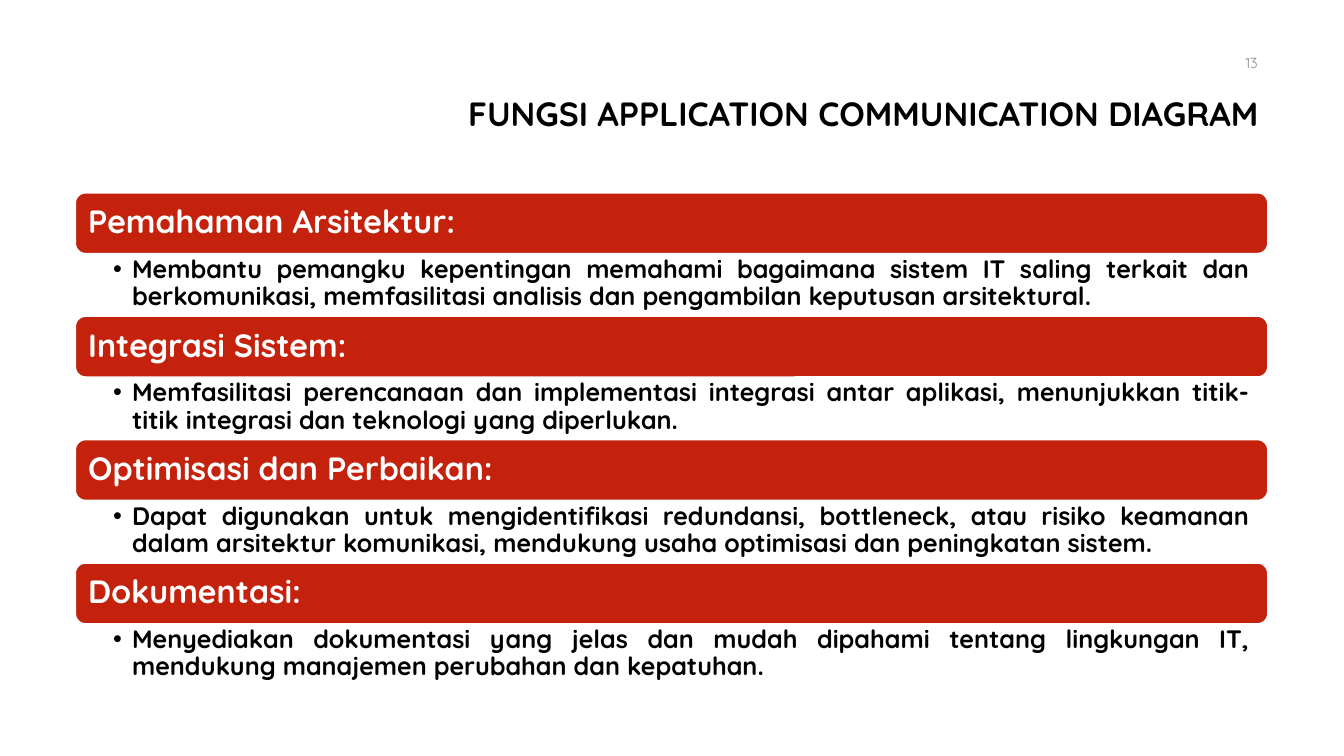
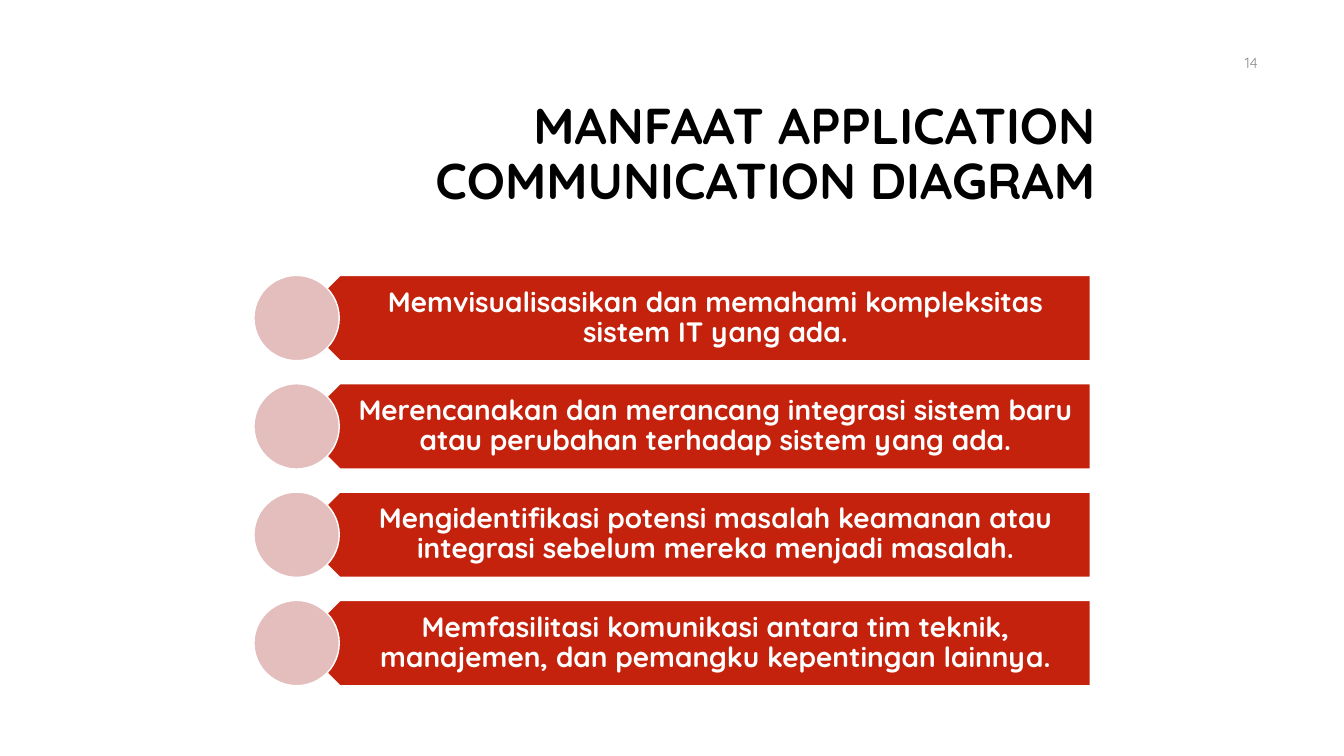
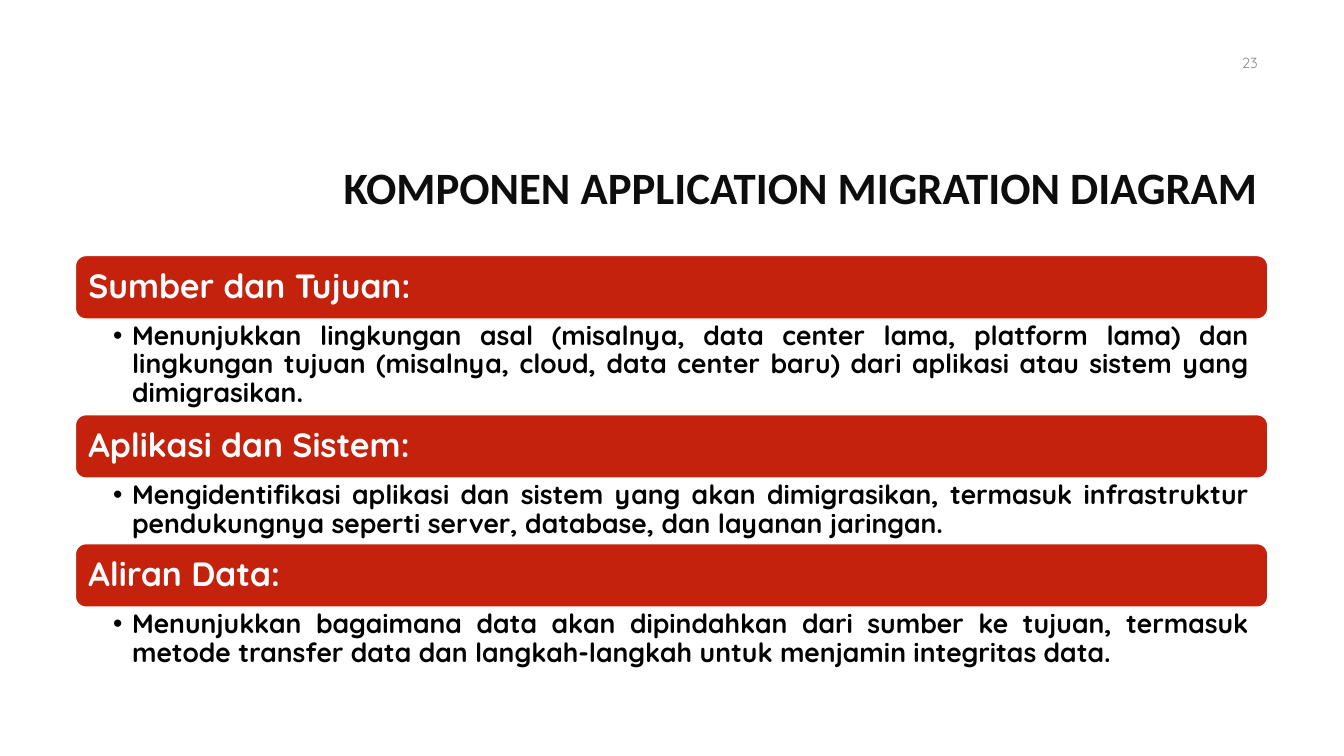
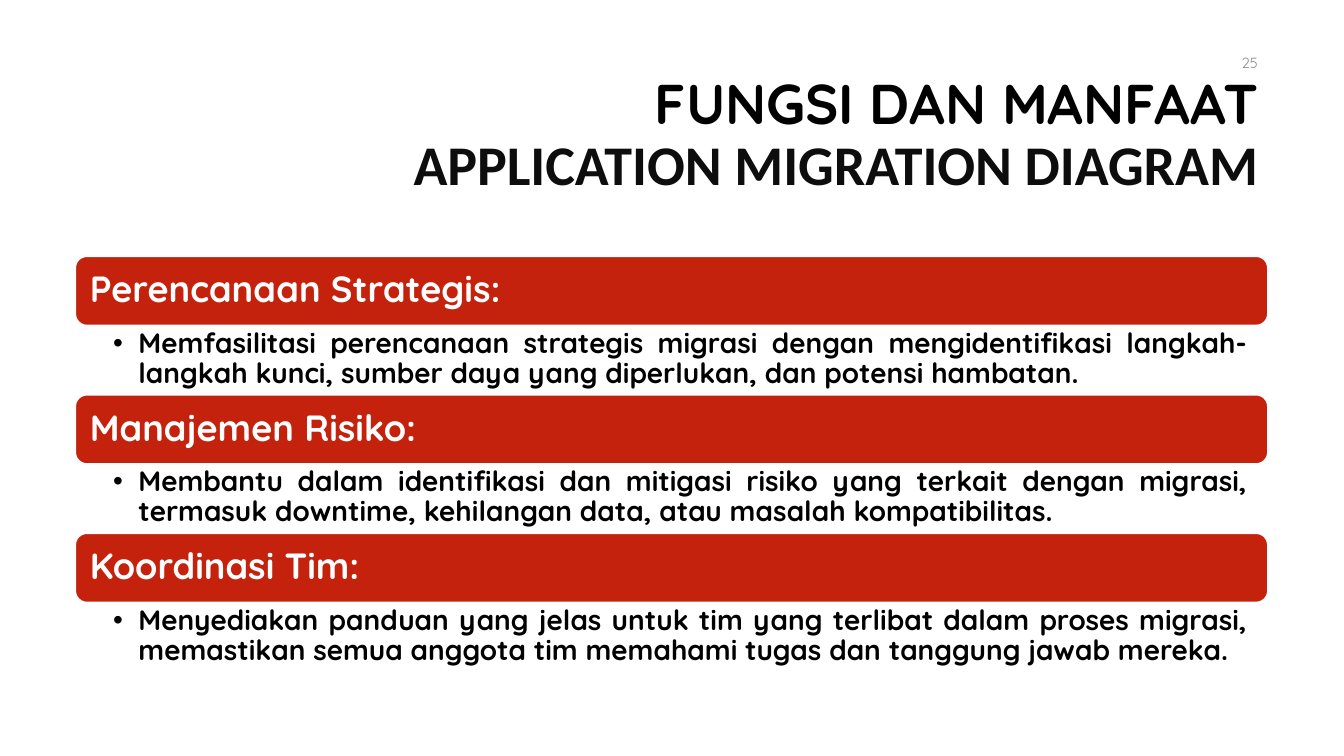
"""Build four slides on application communication and migration diagrams."""
from dataclasses import dataclass

from lxml.etree import SubElement
from pptx import Presentation
from pptx.dml.color import RGBColor
from pptx.enum.shapes import MSO_SHAPE
from pptx.enum.text import MSO_ANCHOR, MSO_AUTO_SIZE, PP_ALIGN
from pptx.oxml.ns import qn
from pptx.util import Cm, Pt

HUES = {"red": "C4220D", "pink": "E4BDBD", "white": "FFFFFF",
        "black": "000000", "ink": "0D0D0D", "gray": "8C8C8C"}
FONT = "Quicksand"


@dataclass(frozen=True)
class Box:
    left: float
    top: float
    width: float
    height: float

    def place(self) -> tuple:
        return Cm(self.left), Cm(self.top), Cm(self.width), Cm(self.height)


@dataclass(frozen=True)
class Line:
    text: str
    font: str = FONT
    hue: str = "black"


@dataclass(frozen=True)
class Head:
    page: str
    box: Box
    size: int
    lines: tuple[Line, ...]


@dataclass(frozen=True)
class Item:
    title: str
    body: str
    depth: float


@dataclass(frozen=True)
class Style:
    top: float
    bar: float
    large: int
    small: int
    pad: float
    edge: float
    right: float
    hang: float


def write(frame, text: str, *, size: float, hue: str = "black", font: str = FONT,
          bold: bool = True, align=PP_ALIGN.LEFT, space: float = 0.9,
          hang: float = 0, more: bool = False) -> None:
    par = frame.add_paragraph() if more else frame.paragraphs[0]
    if hang:
        props = par._p.get_or_add_pPr()
        props.set("marL", str(Cm(hang)))
        props.set("indent", str(-Cm(hang)))
        SubElement(props, qn("a:buFont")).set("typeface", "Arial")
        SubElement(props, qn("a:buChar")).set("char", "•")
    par.alignment = align
    par.line_spacing = space
    run = par.add_run()
    run.text = text
    run.font.name = font
    run.font.size = Pt(size)
    run.font.bold = bold
    run.font.color.rgb = RGBColor.from_string(HUES[hue])


def set_up(frame, pads: tuple = (0.25, 0.13, 0.25, 0.13), anchor=MSO_ANCHOR.MIDDLE):
    frame.word_wrap = True
    frame.auto_size = MSO_AUTO_SIZE.NONE
    frame.vertical_anchor = anchor
    (frame.margin_left, frame.margin_top,
     frame.margin_right, frame.margin_bottom) = map(Cm, pads)
    return frame


def add_text(slide, box: Box, **form):
    return set_up(slide.shapes.add_textbox(*box.place()).text_frame, **form)


def add_form(slide, kind, box: Box, hue: str):
    shape = slide.shapes.add_shape(kind, *box.place())
    shape.shadow.inherit = False
    shape.fill.solid()
    shape.fill.fore_color.rgb = RGBColor.from_string(HUES[hue])
    shape.line.color.rgb = RGBColor.from_string(HUES["white"])
    shape.line.width = Pt(1)
    return shape


def add_slide(deck, head: Head):
    slide = deck.slides.add_slide(deck.slide_layouts[5])
    title = slide.shapes.title
    title.left, title.top, title.width, title.height = head.box.place()
    frame = set_up(title.text_frame)
    for rank, line in enumerate(head.lines):
        write(frame, line.text, size=head.size, hue=line.hue, font=line.font,
              align=PP_ALIGN.RIGHT, more=rank > 0)
    write(add_text(slide, Box(24.33, 1.07, 7.62, 1.02)), head.page, size=10.5,
          hue="gray", bold=False, align=PP_ALIGN.RIGHT, space=1.0)
    return slide


def add_list(slide, style: Style, items: tuple[Item, ...]) -> None:
    left, width, top = 1.9, 30.05, style.top
    for item in items:
        bar = add_form(slide, MSO_SHAPE.ROUNDED_RECTANGLE,
                       Box(left, top, width, style.bar), "red")
        write(set_up(bar.text_frame, (style.pad,) * 4), item.title,
              size=style.large, hue="white", align=PP_ALIGN.JUSTIFY)
        top += style.bar
        frame = add_text(slide, Box(left, top, width, item.depth),
                         pads=(0.95, style.edge, style.right, style.edge),
                         anchor=MSO_ANCHOR.TOP)
        write(frame, item.body, size=style.small, align=PP_ALIGN.JUSTIFY,
              hang=style.hang)
        top += item.depth


def add_plates(slide, texts: tuple[str, ...]) -> None:
    side, step = 2.15, 2.73
    for rank, text in enumerate(texts):
        top = 6.94 + rank * step
        plate = add_form(slide, MSO_SHAPE.PENTAGON, Box(7.49, top, 19.99, side), "red")
        plate.rotation = 180
        frame = add_text(slide, Box(8.03, top, 19.46, side), pads=(0.95, 0.2, 0.4, 0.2))
        write(frame, text, size=20, hue="white", align=PP_ALIGN.CENTER)
        add_form(slide, MSO_SHAPE.OVAL, Box(6.4, top, side, side), "pink")


def main() -> None:
    deck = Presentation()
    deck.slide_width, deck.slide_height = Cm(33.87), Cm(19.05)

    slide = add_slide(deck, Head("13", Box(8.04, 1.12, 23.92, 3.58), 24, (
        Line("FUNGSI APPLICATION COMMUNICATION DIAGRAM"),)))
    add_list(slide, Style(4.86, 1.53, 23, 18, 0.25, 0.08, 0.46, 0.48), (
        Item("Pemahaman Arsitektur:",
             "Membantu pemangku kepentingan memahami bagaimana sistem IT saling terkait "
             "dan berkomunikasi, memfasilitasi analisis dan pengambilan keputusan "
             "arsitektural.", 1.58),
        Item("Integrasi Sistem:",
             "Memfasilitasi perencanaan dan implementasi integrasi antar aplikasi, "
             "menunjukkan titik-titik integrasi dan teknologi yang diperlukan.", 1.58),
        Item("Optimisasi dan Perbaikan:",
             "Dapat digunakan untuk mengidentifikasi redundansi, bottleneck, atau risiko "
             "keamanan dalam arsitektur komunikasi, mendukung usaha optimisasi dan "
             "peningkatan sistem.", 1.58),
        Item("Dokumentasi:",
             "Menyediakan dokumentasi yang jelas dan mudah dipahami tentang lingkungan "
             "IT, mendukung manajemen perubahan dan kepatuhan.", 1.58)))

    slide = add_slide(deck, Head("14", Box(8.04, 2.13, 19.81, 3.58), 36, (
        Line("MANFAAT APPLICATION COMMUNICATION DIAGRAM"),)))
    add_plates(slide, (
        "Memvisualisasikan dan memahami kompleksitas sistem IT yang ada.",
        "Merencanakan dan merancang integrasi sistem baru atau perubahan terhadap "
        "sistem yang ada.",
        "Mengidentifikasi potensi masalah keamanan atau integrasi sebelum mereka "
        "menjadi masalah.",
        "Memfasilitasi komunikasi antara tim teknik, manajemen, dan pemangku "
        "kepentingan lainnya."))

    slide = add_slide(deck, Head("23", Box(8.04, 3.84, 23.92, 1.88), 32, (
        Line("KOMPONEN APPLICATION MIGRATION DIAGRAM", "Calibri", "ink"),)))
    add_list(slide, Style(6.44, 1.6, 24, 19, 0.25, 0.08, 0.48, 0.48), (
        Item("Sumber dan Tujuan:",
             "Menunjukkan lingkungan asal (misalnya, data center lama, platform lama) "
             "dan lingkungan tujuan (misalnya, cloud, data center baru) dari aplikasi "
             "atau sistem yang dimigrasikan.", 2.41),
        Item("Aplikasi dan Sistem:",
             "Mengidentifikasi aplikasi dan sistem yang akan dimigrasikan, termasuk "
             "infrastruktur pendukungnya seperti server, database, dan layanan "
             "jaringan.", 1.65),
        Item("Aliran Data:",
             "Menunjukkan bagaimana data akan dipindahkan dari sumber ke tujuan, "
             "termasuk metode transfer data dan langkah-langkah untuk menjamin "
             "integritas data.", 1.65)))

    slide = add_slide(deck, Head("25", Box(8.04, 1.78, 23.92, 3.33), 40, (
        Line("FUNGSI DAN MANFAAT"),
        Line("APPLICATION MIGRATION DIAGRAM", "Calibri", "ink"))))
    add_list(slide, Style(6.46, 1.74, 26, 20, 0.28, 0.09, 0.51, 0.64), (
        Item("Perencanaan Strategis:",
             "Memfasilitasi perencanaan strategis migrasi dengan mengidentifikasi "
             "langkah-langkah kunci, sumber daya yang diperlukan, dan potensi "
             "hambatan.", 1.75),
        Item("Manajemen Risiko:",
             "Membantu dalam identifikasi dan mitigasi risiko yang terkait dengan "
             "migrasi, termasuk downtime, kehilangan data, atau masalah "
             "kompatibilitas.", 1.75),
        Item("Koordinasi Tim:",
             "Menyediakan panduan yang jelas untuk tim yang terlibat dalam proses "
             "migrasi, memastikan semua anggota tim memahami tugas dan tanggung jawab "
             "mereka.", 1.75)))

    deck.save("out.pptx")


if __name__ == "__main__":
    main()
